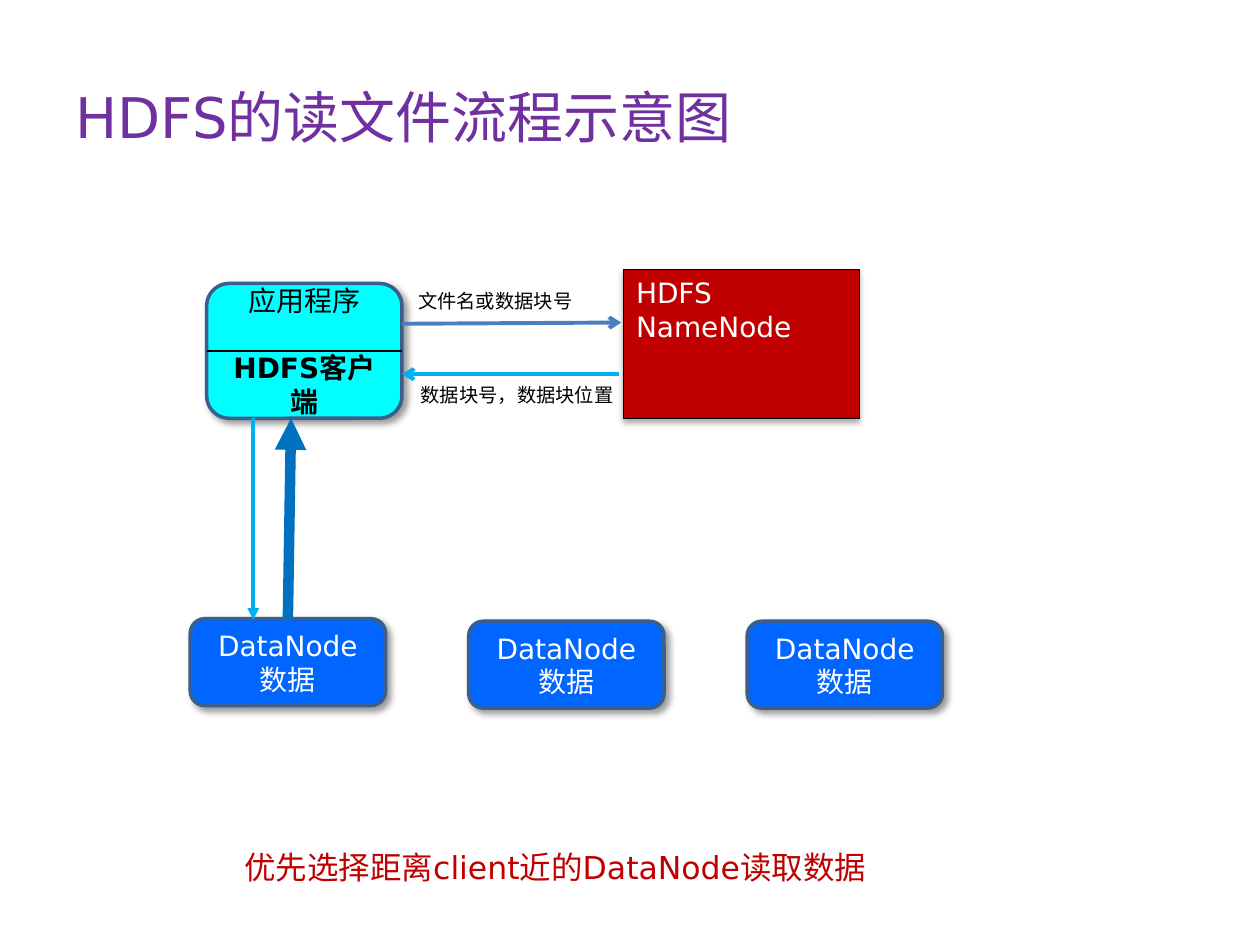
"""Builds a slide showing how a client reads a file from HDFS."""
from lxml.etree import SubElement
from pptx import Presentation
from pptx.dml.color import RGBColor
from pptx.enum.shapes import MSO_CONNECTOR as CONN, MSO_SHAPE as SHAPE
from pptx.enum.text import MSO_ANCHOR as ANCHOR, PP_ALIGN as ALIGN
from pptx.oxml.ns import qn
from pptx.util import Inches, Pt

rgb = RGBColor.from_string
FONT = "DejaVu Sans"


def add_box(kind, x, y, w, h, fill, line, width, shadow, lines, color, align, anchor):
    sp = slide.shapes.add_shape(kind, Inches(x), Inches(y), Inches(w), Inches(h))
    sp.fill.solid()
    sp.fill.fore_color.rgb = rgb(fill)
    sp.line.color.rgb = rgb(line)
    sp.line.width = Pt(width)
    sp.shadow.inherit = False
    alpha, blur, dist, angle = shadow
    effects = sp._element.spPr.find(qn("a:effectLst"))
    outer = SubElement(effects, qn("a:outerShdw"), blurRad=str(Pt(blur)),
                       dist=str(Pt(dist)), dir=str(angle * 60000), rotWithShape="0")
    clr = SubElement(outer, qn("a:srgbClr"), val="000000")
    SubElement(clr, qn("a:alpha"), val=str(alpha * 1000))
    tf = sp.text_frame
    tf.word_wrap = True
    tf.vertical_anchor = anchor
    tf.text = "\n".join(lines)
    for p in tf.paragraphs:
        p.alignment = align
        p.font.name = FONT
        p.font.size = Pt(16)
        p.font.color.rgb = rgb(color)
    return sp


def add_line(x1, y1, x2, y2, color, width, head=None):
    cn = slide.shapes.add_connector(
        CONN.STRAIGHT, Inches(x1), Inches(y1), Inches(x2), Inches(y2))
    cn.line.color.rgb = rgb(color)
    cn.line.width = Pt(width)
    if head:
        SubElement(cn.line._get_or_add_ln(), qn("a:tailEnd"), type=head)
    SubElement(cn._element.spPr, qn("a:effectLst"))
    return cn


prs = Presentation()
prs.slide_width, prs.slide_height = Inches(10), Inches(7.5)
slide = prs.slides.add_slide(prs.slide_layouts[5])

title = slide.shapes.title
title.left, title.top = Inches(0.5), Inches(0.3)
title.width, title.height = Inches(9), Inches(1.25)
title.text_frame.text = "HDFS的读文件流程示意图"
title.text_frame.vertical_anchor = ANCHOR.MIDDLE
p = title.text_frame.paragraphs[0]
p.alignment = ALIGN.LEFT
p.font.name = FONT
p.font.size = Pt(32)
p.font.color.rgb = rgb("7030A0")

soft = (40, 4, 3, 45)
client = add_box(SHAPE.ROUNDED_RECTANGLE, 1.64, 2.25, 1.55, 1.07, "00FFFF", "3A5F8C", 2,
                 soft, ["应用程序", "HDFS客户端"], "000000", ALIGN.CENTER, ANCHOR.MIDDLE)
app, hdfs = client.text_frame.paragraphs
app.font.name = "Arial"
hdfs.font.bold = True
hdfs.space_before = Pt(19)
divider = add_line(1.64, 2.79, 3.19, 2.79, "000000", 0.75)
divider.begin_connect(client, 1)
divider.end_connect(client, 3)

add_box(SHAPE.RECTANGLE, 4.95, 2.14, 1.87, 1.18, "C00000", "000000", 0.75,
        (32, 3.5, 2.2, 90), ["HDFS NameNode"], "FFFFFF", ALIGN.LEFT, ANCHOR.TOP)

nodes = [add_box(SHAPE.ROUNDED_RECTANGLE, x, y, 1.55, 0.69, "0066FF", "3A5F8C", 2, soft,
                 ["DataNode", "数据"], "FFFFFF", ALIGN.CENTER, ANCHOR.MIDDLE)
         for x, y in [(1.51, 4.91), (3.72, 4.93), (5.93, 4.93)]]

add_line(3.19, 2.57, 4.93, 2.56, "4B7EBC", 2.25, "arrow")
add_line(4.91, 2.97, 3.19, 2.97, "00B0F0", 2.25, "arrow")
add_line(2.01, 3.32, 2.01, 4.92, "00B0F0", 2.25, "triangle")
data = add_line(2.3, 4.91, 2.31, 3.32, "0070C0", 6, "triangle")
data.begin_connect(nodes[0], 0)

for text, x, y, w, h, size, color in [
    ("文件名或数据块号", 3.22, 2.25, 1.7, 0.29, 11, "000000"),
    ("数据块号，数据块位置", 3.24, 2.99, 1.8, 0.29, 11, "000000"),
    ("优先选择距离client近的DataNode读取数据", 1.84, 6.68, 6.14, 0.4, 18, "C00000"),
]:
    tf = slide.shapes.add_textbox(Inches(x), Inches(y), Inches(w), Inches(h)).text_frame
    tf.word_wrap = True
    tf.text = text
    p = tf.paragraphs[0]
    p.font.name = FONT
    p.font.size = Pt(size)
    p.font.color.rgb = rgb(color)

prs.save("out.pptx")
